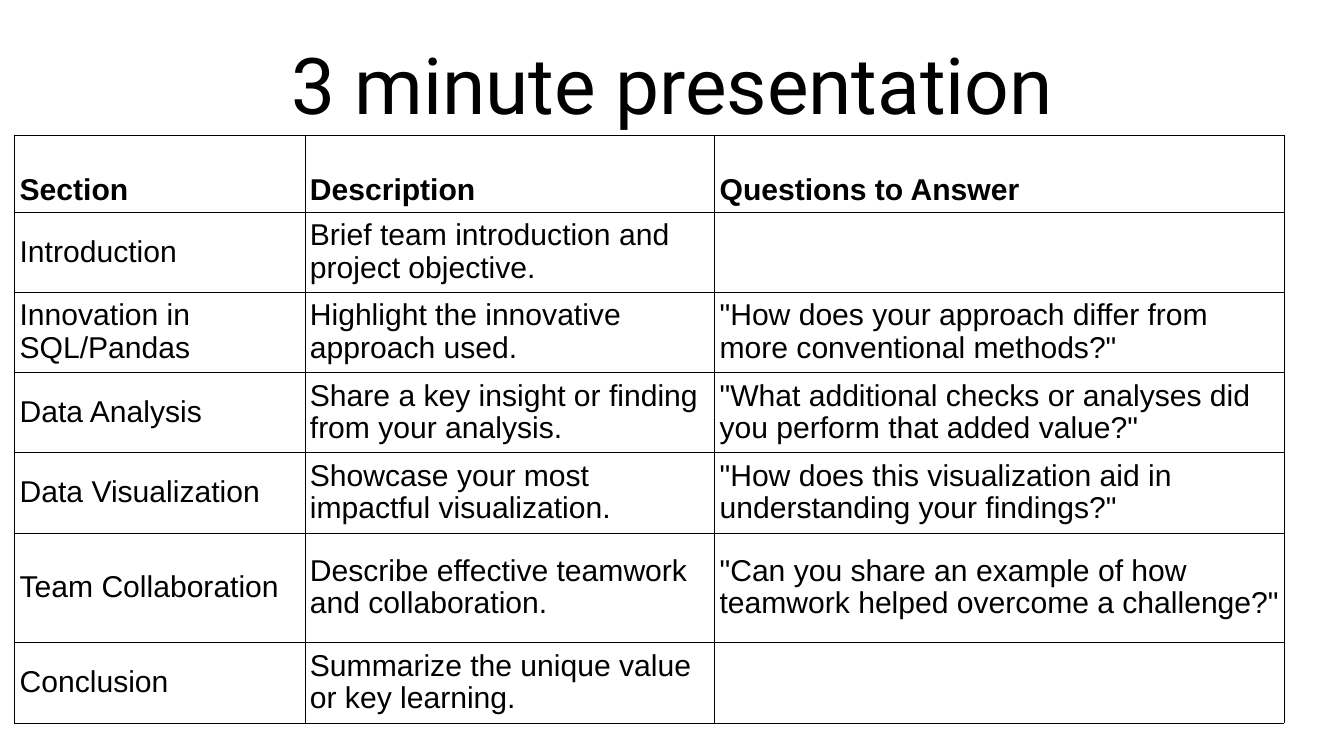
from dataclasses import dataclass

from lxml.etree import SubElement
from pptx import Presentation
from pptx.dml.color import RGBColor
from pptx.enum.text import MSO_ANCHOR, PP_ALIGN
from pptx.oxml.ns import qn
from pptx.util import Inches, Pt

INK = "000000"
TABLE_LEFT, TABLE_TOP = 0.29, 2.68
COLUMN_WIDTHS = (5.76, 8.13, 11.3)
ROW_HEIGHT, TALL_ROW_HEIGHT = 1.53, 2.18
CELL_MARGIN = 0.1


@dataclass(frozen=True)
class AgendaRow:
    section: str
    description: str
    question: str = ""
    height: float = ROW_HEIGHT
    heading: bool = False


AGENDA = (
    AgendaRow("Section", "Description", "Questions to Answer", heading=True),
    AgendaRow("Introduction", "Brief team introduction and project objective."),
    AgendaRow("Innovation in SQL/Pandas", "Highlight the innovative approach used.",
              '"How does your approach differ from more conventional methods?"'),
    AgendaRow("Data Analysis", "Share a key insight or finding from your analysis.",
              '"What additional checks or analyses did you perform that added value?"'),
    AgendaRow("Data Visualization", "Showcase your most impactful visualization.",
              '"How does this visualization aid in understanding your findings?"'),
    AgendaRow("Team Collaboration", "Describe effective teamwork and collaboration.",
              '"Can you share an example of how teamwork helped overcome a challenge?"',
              height=TALL_ROW_HEIGHT),
    AgendaRow("Conclusion", "Summarize the unique value or key learning."),
)


def color(value: str) -> RGBColor:
    return RGBColor.from_string(value)


def write(frame, text: str, *, size: float, font: str, bold: bool = False,
          align=PP_ALIGN.LEFT, spacing: float = 1.0) -> None:
    frame.word_wrap = True
    paragraph = frame.paragraphs[0]
    paragraph.alignment = align
    paragraph.line_spacing = spacing
    run = paragraph.add_run()
    run.text = text
    run.font.size = Pt(size)
    run.font.name = font
    run.font.bold = bold
    run.font.color.rgb = color(INK)


def add_borders(cell, width: float = 0.75) -> None:
    properties = cell._tc.get_or_add_tcPr()
    for position, side in enumerate(("lnL", "lnR", "lnT", "lnB")):
        line = SubElement(properties, qn(f"a:{side}"), w=str(Pt(width)))
        fill = SubElement(line, qn("a:solidFill"))
        SubElement(fill, qn("a:srgbClr"), val=INK)
        properties.remove(line)
        properties.insert(position, line)  # borders come before the fill


def fill_cell(cell, text: str, heading: bool) -> None:
    cell.fill.background()
    add_borders(cell)
    cell.margin_left = cell.margin_top = cell.margin_bottom = Inches(CELL_MARGIN)
    cell.margin_right = Inches(CELL_MARGIN - 0.02)  # room for the longest question
    cell.vertical_anchor = MSO_ANCHOR.BOTTOM if heading else MSO_ANCHOR.MIDDLE
    if text:
        write(cell.text_frame, text, size=43, font="Arial", bold=heading, spacing=0.97)


def add_title(slide, text: str) -> None:
    box = slide.shapes.add_textbox(Inches(1.85), Inches(0.39), Inches(22.97), Inches(2.5))
    frame = box.text_frame
    frame.vertical_anchor = MSO_ANCHOR.MIDDLE
    frame.margin_left = frame.margin_right = Inches(0.06)
    frame.margin_top = frame.margin_bottom = Inches(0.06)
    write(frame, text, size=112, font="Roboto", align=PP_ALIGN.CENTER)


def add_agenda(slide, agenda: tuple[AgendaRow, ...]) -> None:
    table = slide.shapes.add_table(
        len(agenda), len(COLUMN_WIDTHS), Inches(TABLE_LEFT), Inches(TABLE_TOP),
        Inches(sum(COLUMN_WIDTHS)), Inches(sum(row.height for row in agenda))).table
    table.first_row = table.horz_banding = False
    for column, width in zip(table.columns, COLUMN_WIDTHS):
        column.width = Inches(width)
    for row, entry in zip(table.rows, agenda):
        row.height = Inches(entry.height)
        for cell, text in zip(row.cells, (entry.section, entry.description, entry.question)):
            fill_cell(cell, text, entry.heading)


def main() -> None:
    deck = Presentation()
    deck.slide_width, deck.slide_height = Inches(26.67), Inches(15)
    slide = deck.slides.add_slide(deck.slide_layouts[6])
    slide.background.fill.solid()
    slide.background.fill.fore_color.rgb = color("FFFFFF")
    add_title(slide, "3 minute presentation")
    add_agenda(slide, AGENDA)
    deck.save("out.pptx")


if __name__ == "__main__":
    main()
